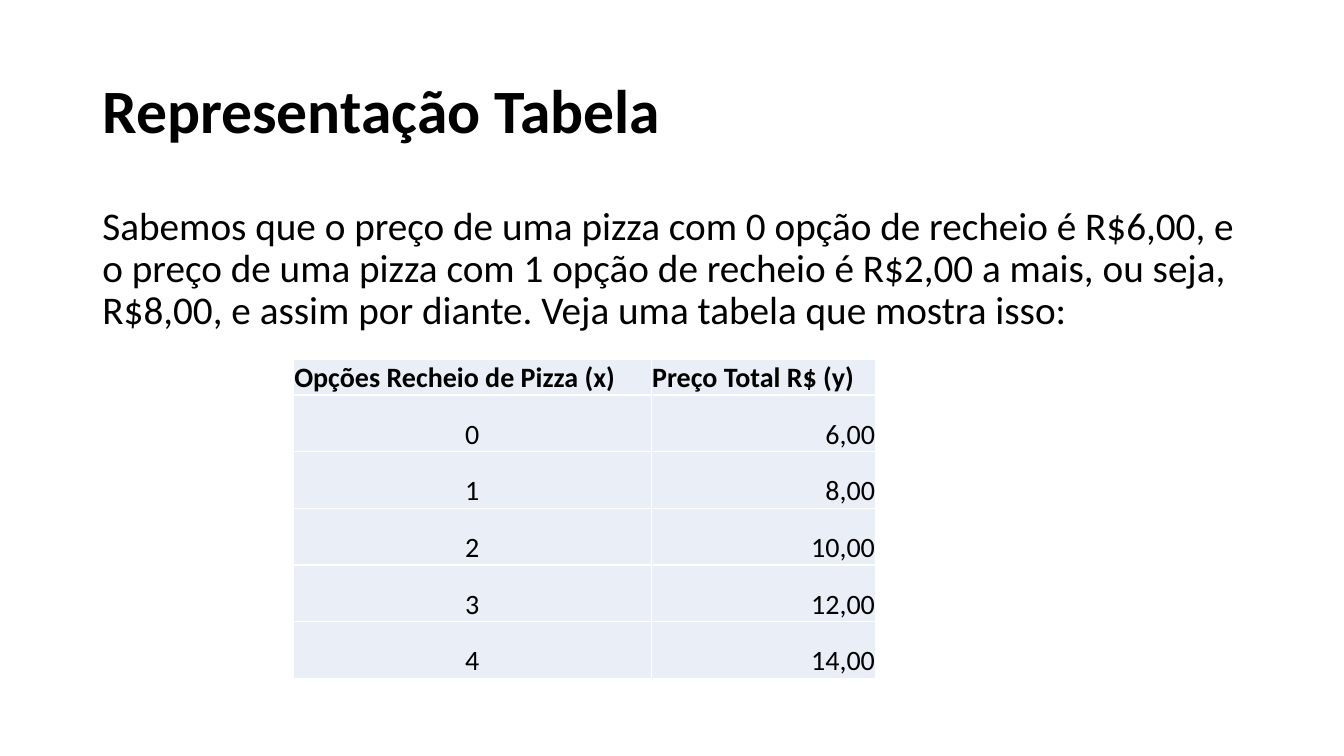
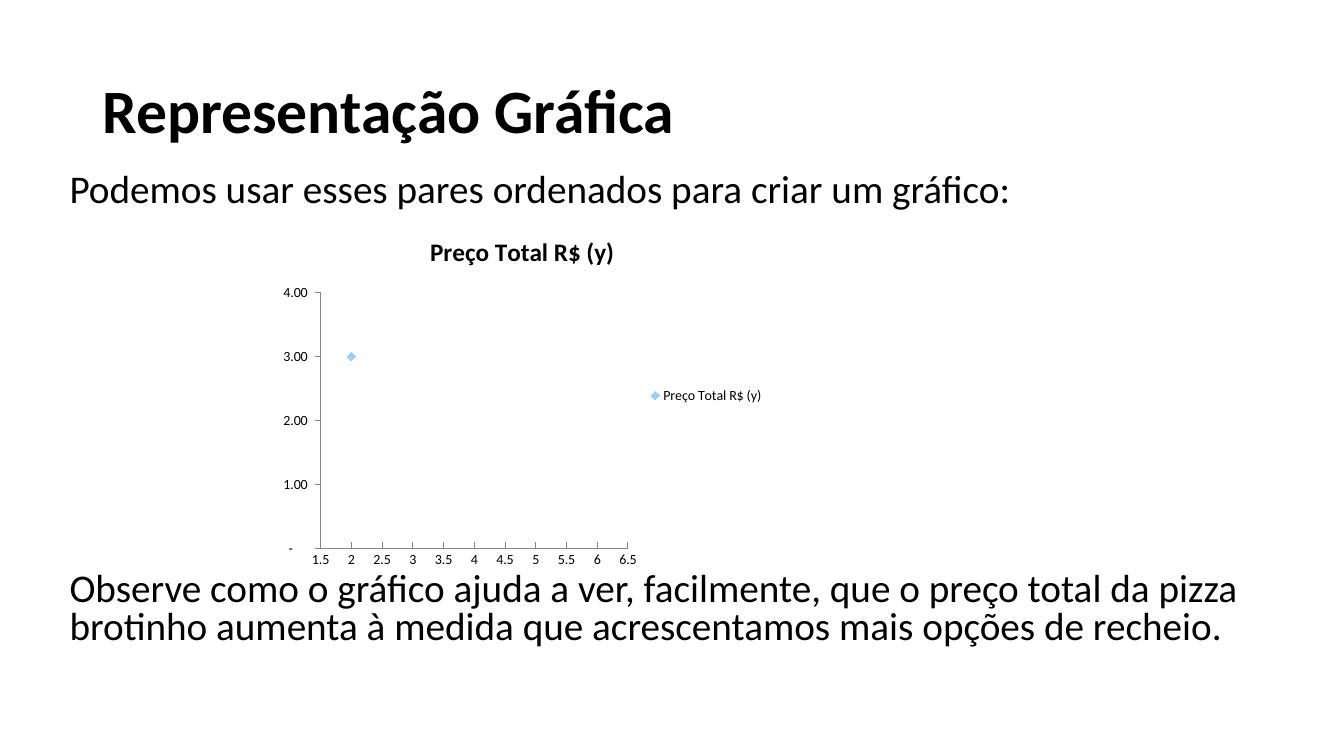
from dataclasses import dataclass

from lxml.etree import SubElement
from pptx import Presentation
from pptx.chart.data import XyChartData
from pptx.dml.color import RGBColor
from pptx.enum.chart import XL_CHART_TYPE, XL_LEGEND_POSITION, XL_MARKER_STYLE, XL_TICK_MARK
from pptx.enum.text import MSO_ANCHOR, MSO_AUTO_SIZE, PP_ALIGN
from pptx.oxml import parse_xml
from pptx.oxml.ns import nsdecls, qn
from pptx.util import Pt


@dataclass(frozen=True)
class Theme:
    font: str = "Calibri"
    text: RGBColor = RGBColor(0x00, 0x00, 0x00)
    cell: RGBColor = RGBColor(0xEA, 0xEF, 0xF7)
    border: str = "FFFFFF"
    axis: RGBColor = RGBColor(0x86, 0x86, 0x86)
    marker: RGBColor = RGBColor(0x99, 0xCC, 0xFF)
    title_size: int = 44
    body_size: int = 28
    table_size: int = 20
    chart_title_size: int = 18
    chart_size: int = 10


THEME = Theme()
SLIDE_SIZE = (960, 540)
TITLE_BOX = (66, 28.75, 828, 104.4)

TABLE_SLIDE = {
    "title": "Representação Tabela",
    "body_box": (66, 143.75, 828, 342.6),
    "line_spacing": 0.9,
    "paragraphs": [
        ("Sabemos que o preço de uma pizza com 0 opção de recheio é R$6,00, e o preço de "
         "uma pizza com 1 opção de recheio é R$2,00 a mais, ou seja, R$8,00, e assim por "
         "diante. Veja uma tabela que mostra isso:", 10),
    ],
}
PRICE_TABLE = {
    "position": (209.5, 257),
    "columns": (255.6, 160.6),
    "header_height": 24,
    "row_height": 40.5,
    "alignments": (PP_ALIGN.CENTER, PP_ALIGN.RIGHT),
    "rows": [
        ("Opções Recheio de Pizza (x)", "Preço Total R$ (y)"),
        ("0", "6,00"),
        ("1", "8,00"),
        ("2", "10,00"),
        ("3", "12,00"),
        ("4", "14,00"),
    ],
}

CHART_SLIDE = {
    "title": "Representação Gráfica",
    "body_box": (42.5, 120.25, 851.5, 366.5),
    "line_spacing": 0.8,
    "paragraphs": [
        ("Podemos usar esses pares ordenados para criar um gráfico:", 10),
        ("Observe como o gráfico ajuda a ver, facilmente, que o preço total da pizza "
         "brotinho aumenta à medida que acrescentamos mais opções de recheio.", 258),
    ],
}
PRICE_CHART = {
    "box": (193, 155.5, 360, 254),
    "plot_area": {"x": 0.1, "y": 0.21, "w": 0.61, "h": 0.72},
    "name": "Preço Total R$ (y)",
    "points": [(2, 3), (3, None), (4, None), (5, None), (6, None)],
    "x_axis": (1.5, 6.5, 0.5, XL_TICK_MARK.INSIDE, "General"),
    "y_axis": (0, 4, 1, XL_TICK_MARK.OUTSIDE,
               '_(* #,##0.00_);_(* (#,##0.00);_(* "-"??_);_(@_)'),
}


def points(values):
    return [Pt(value) for value in values]


def place(shape, box):
    shape.left, shape.top, shape.width, shape.height = points(box)


def style_font(font, size, bold=False):
    font.name = THEME.font
    font.size = Pt(size)
    font.bold = bold
    font.color.rgb = THEME.text


def add_text(para, text, size, bold=False):
    span = para.add_run()
    span.text = text
    style_font(span.font, size, bold)


def remove_bullet(para):
    properties = para._p.get_or_add_pPr()
    properties.set("marL", "0")
    properties.set("indent", "0")
    SubElement(properties, qn("a:buNone"))


def add_page(deck, content):
    page = deck.slides.add_slide(deck.slide_layouts[1])
    title, body = page.shapes.title, page.placeholders[1]
    place(title, TITLE_BOX)
    place(body, content["body_box"])
    for box in (title, body):
        box.text_frame.word_wrap = True
        box.text_frame.auto_size = MSO_AUTO_SIZE.NONE
    title.text_frame.vertical_anchor = MSO_ANCHOR.MIDDLE
    heading = title.text_frame.paragraphs[0]
    heading.alignment = PP_ALIGN.LEFT
    heading.line_spacing = 0.9
    add_text(heading, content["title"], THEME.title_size, True)
    frame = body.text_frame
    for index, (text, space_before) in enumerate(content["paragraphs"]):
        para = frame.add_paragraph() if index else frame.paragraphs[0]
        para.line_spacing = content["line_spacing"]
        para.space_before = Pt(space_before)
        remove_bullet(para)
        add_text(para, text, THEME.body_size)
    return page


def add_borders(cell):
    properties = cell._tc.get_or_add_tcPr()
    for side in ("lnL", "lnR", "lnT", "lnB"):
        properties.append(parse_xml(
            f'<a:{side} {nsdecls("a")} w="{Pt(1)}"><a:solidFill>'
            f'<a:srgbClr val="{THEME.border}"/></a:solidFill></a:{side}>'))


def add_price_table(page, content):
    rows, columns = content["rows"], content["columns"]
    heights = [content["header_height"]] + [content["row_height"]] * (len(rows) - 1)
    box = (*content["position"], sum(columns), sum(heights))
    table = page.shapes.add_table(len(rows), len(columns), *points(box)).table
    for column, width in zip(table.columns, columns):
        column.width = Pt(width)
    for row_index, (values, height) in enumerate(zip(rows, heights)):
        table.rows[row_index].height = Pt(height)
        header = row_index == 0
        for column_index, text in enumerate(values):
            cell = table.cell(row_index, column_index)
            add_borders(cell)
            cell.fill.solid()
            cell.fill.fore_color.rgb = THEME.cell
            cell.vertical_anchor = MSO_ANCHOR.BOTTOM
            cell.margin_left = cell.margin_right = cell.margin_top = Pt(0.7)
            cell.margin_bottom = Pt(0)
            para = cell.text_frame.paragraphs[0]
            para.alignment = PP_ALIGN.LEFT if header else content["alignments"][column_index]
            add_text(para, text, THEME.table_size, header)


def style_axis(axis, settings):
    axis.minimum_scale, axis.maximum_scale, axis.major_unit, tick, number_format = settings
    axis.major_tick_mark = tick
    axis.minor_tick_mark = XL_TICK_MARK.NONE
    axis.has_major_gridlines = False
    axis.has_title = False
    axis.tick_labels.number_format = number_format
    axis.tick_labels.number_format_is_linked = False
    axis.format.line.color.rgb = THEME.axis
    axis.format.line.width = Pt(0.75)


def set_plot_area(chart, fractions):
    plot_area = chart._chartSpace.chart.plotArea
    for layout in plot_area.findall(qn("c:layout")):
        plot_area.remove(layout)
    modes = "".join(f'<c:{axis}Mode val="edge"/>' for axis in "xy")
    sizes = "".join(f'<c:{key} val="{value}"/>' for key, value in fractions.items())
    plot_area.insert(0, parse_xml(
        f'<c:layout {nsdecls("c")}><c:manualLayout><c:layoutTarget val="inner"/>'
        f'{modes}{sizes}</c:manualLayout></c:layout>'))


def add_price_chart(page, content):
    data = XyChartData()
    prices = data.add_series(content["name"])
    for x, y in content["points"]:
        prices.add_data_point(x, y)
    chart = page.shapes.add_chart(
        XL_CHART_TYPE.XY_SCATTER, *points(content["box"]), data).chart
    style_font(chart.font, THEME.chart_size)
    chart.has_title = True
    add_text(chart.chart_title.text_frame.paragraphs[0], content["name"],
             THEME.chart_title_size, True)
    chart.chart_title.include_in_layout = False
    chart.has_legend = True
    chart.legend.position = XL_LEGEND_POSITION.RIGHT
    chart.legend.include_in_layout = False
    style_axis(chart.category_axis, content["x_axis"])
    style_axis(chart.value_axis, content["y_axis"])
    set_plot_area(chart, content["plot_area"])
    plot = chart.plots[0]
    plot.vary_by_categories = False
    series = plot.series[0]
    for missing in series._element.xpath("c:yVal//c:pt[c:v='None']"):
        missing.getparent().remove(missing)
    series.format.line.fill.background()
    series.marker.style = XL_MARKER_STYLE.DIAMOND
    series.marker.size = 6
    series.marker.format.fill.solid()
    series.marker.format.fill.fore_color.rgb = THEME.marker
    series.marker.format.line.color.rgb = THEME.marker


def main():
    deck = Presentation()
    deck.slide_width, deck.slide_height = points(SLIDE_SIZE)
    add_price_table(add_page(deck, TABLE_SLIDE), PRICE_TABLE)
    add_price_chart(add_page(deck, CHART_SLIDE), PRICE_CHART)
    deck.save("out.pptx")


if __name__ == "__main__":
    main()
